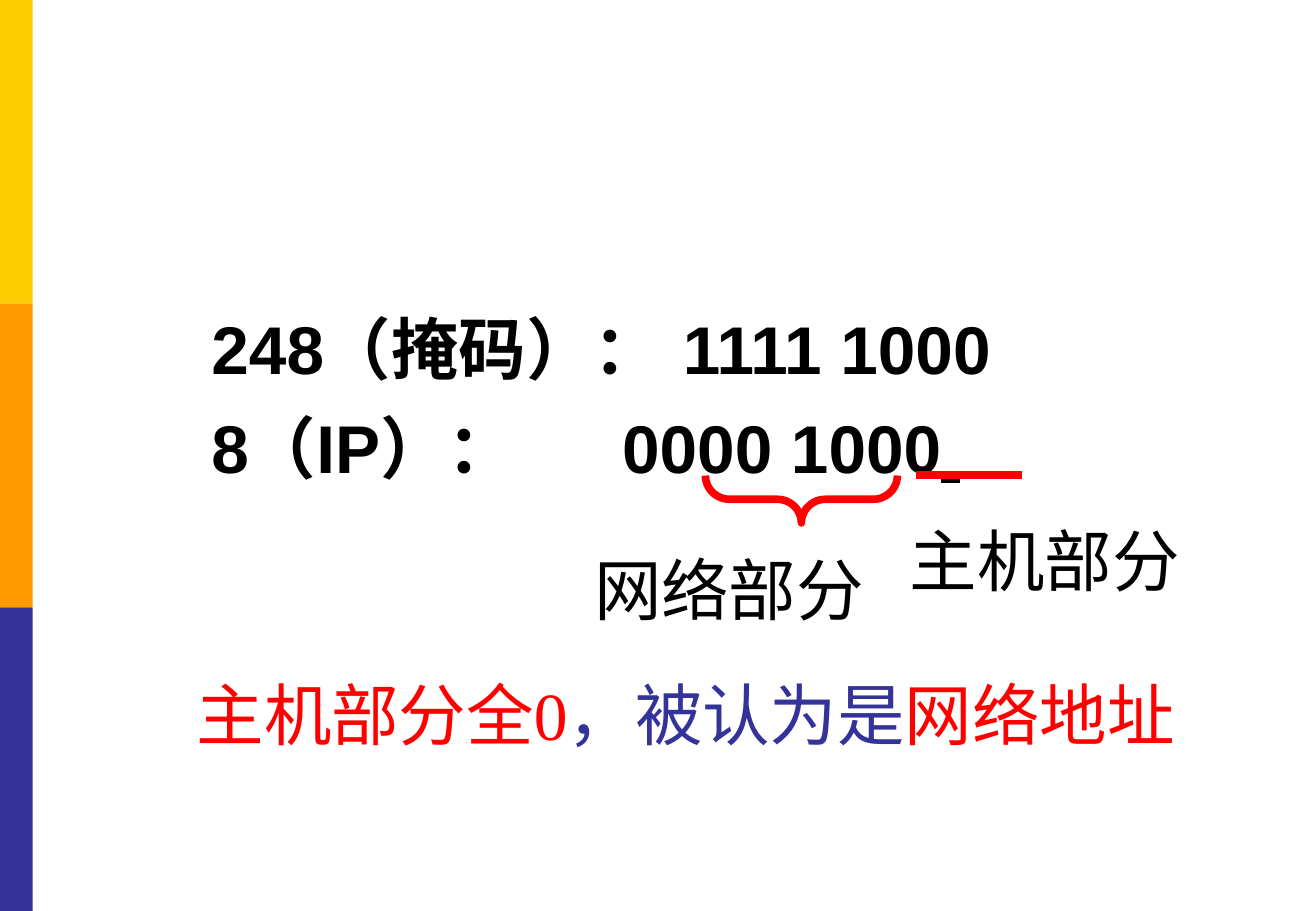
from lxml import etree
from pptx import Presentation
from pptx.dml.color import RGBColor
from pptx.enum.shapes import MSO_CONNECTOR, MSO_SHAPE
from pptx.enum.text import MSO_ANCHOR as Anchor, MSO_AUTO_SIZE as AutoSize
from pptx.oxml.ns import qn
from pptx.util import Inches, Pt

YELLOW = RGBColor(0xFF, 0xCC, 0x00)
ORANGE = RGBColor(0xFF, 0x99, 0x00)
INDIGO = RGBColor(0x33, 0x33, 0x99)
RED = RGBColor(0xFF, 0x00, 0x00)
BLACK = RGBColor(0x00, 0x00, 0x00)


class SlideBuilder:
    """Holds the text size, the mark width and the current slide."""

    size = Pt(40)
    mark_width = Pt(4.5)

    def __init__(self, page):
        self.page = page

    def set_font(self, para, name, color=BLACK, bold=False):
        font = para.font
        font.name, font.size, font.bold = name, self.size, bold
        font.color.rgb = color

    def band(self, left, top, width, height, color):
        shape = self.page.shapes.add_shape(
            MSO_SHAPE.RECTANGLE, *map(Inches, (left, top, width, height)))
        shape.shadow.inherit = False
        shape.fill.solid()
        shape.fill.fore_color.rgb = color
        shape.line.fill.background()

    def body(self, left, top, width, height, rows):
        box = self.page.placeholders[1]
        box.left, box.top, box.width, box.height = map(
            Inches, (left, top, width, height))
        frame = box.text_frame
        frame.auto_size = AutoSize.NONE
        frame.vertical_anchor = Anchor.TOP
        for index, spans in enumerate(rows):
            para = frame.add_paragraph() if index else frame.paragraphs[0]
            properties = para._p.get_or_add_pPr()
            properties.set("marL", str(Inches(0.38)))
            properties.set("indent", str(Inches(-0.38)))
            etree.SubElement(properties, qn("a:buNone"))
            para.line_spacing = 1.1
            para.space_before = Pt(6 if index else 0)
            self.set_font(para, "Arial", bold=True)
            for text, underline in spans:
                span = para.add_run()
                span.text = text
                if underline:
                    span.font.underline = True

    def text(self, left, top, width, height, spans, font,
             anchor=Anchor.TOP, wrap=True):
        box = self.page.shapes.add_textbox(
            *map(Inches, (left, top, width, height)))
        frame = box.text_frame
        frame.word_wrap = wrap
        frame.vertical_anchor = anchor
        para = frame.paragraphs[0]
        self.set_font(para, font)
        for text, color in spans:
            span = para.add_run()
            span.text = text
            span.font.color.rgb = color

    def brace(self, left, top, width, height):
        shape = self.page.shapes.add_shape(
            MSO_SHAPE.LEFT_BRACE, *map(Inches, (left, top, width, height)))
        shape.rotation = 270
        shape.adjustments[0], shape.adjustments[1] = 0.51, 0.5
        shape.shadow.inherit = False
        shape.fill.background()
        shape.line.color.rgb = RED
        shape.line.width = self.mark_width

    def rule(self, start, end, height):
        line = self.page.shapes.add_connector(
            MSO_CONNECTOR.STRAIGHT, *map(Inches, (start, height, end, height)))
        line.line.color.rgb = RED
        line.line.width = self.mark_width
        etree.SubElement(line._element.spPr, qn("a:effectLst"))


def main():
    deck = Presentation()
    deck.slide_width, deck.slide_height = Inches(10.83), Inches(7.5)
    page = deck.slides.add_slide(deck.slide_layouts[1])
    title = page.shapes.title._element
    title.getparent().remove(title)
    builder = SlideBuilder(page)

    # Colour bands on the left edge
    for index, color in enumerate((YELLOW, ORANGE, INDIGO)):
        builder.band(0, 2.5 * index, 0.27, 2.5, color)

    # Mask and address in binary
    builder.body(1.64, 2.41, 8.5, 2.2, [
        [("248（掩码）：\t1111 1000", False)],
        [("8（IP）：\t\t0000 1000", False), (" ", True)],
    ])

    # Conclusion
    builder.text(1.52, 5.32, 8.9, 0.94, [
        ("主机部分全0", RED), ("，被认为是", INDIGO), ("网络地址", RED),
    ], "Times New Roman", anchor=Anchor.BOTTOM)

    # Marks and labels for the two parts
    builder.brace(6.4, 3.32, 0.39, 1.58)
    builder.rule(7.54, 8.41, 3.91)
    builder.text(4.79, 4.46, 2.42, 0.77, [("网络部分", BLACK)], "Cabin", wrap=False)
    builder.text(7.39, 4.22, 2.68, 0.77, [("主机部分", BLACK)], "Cabin")

    deck.save("out.pptx")


if __name__ == "__main__":
    main()
